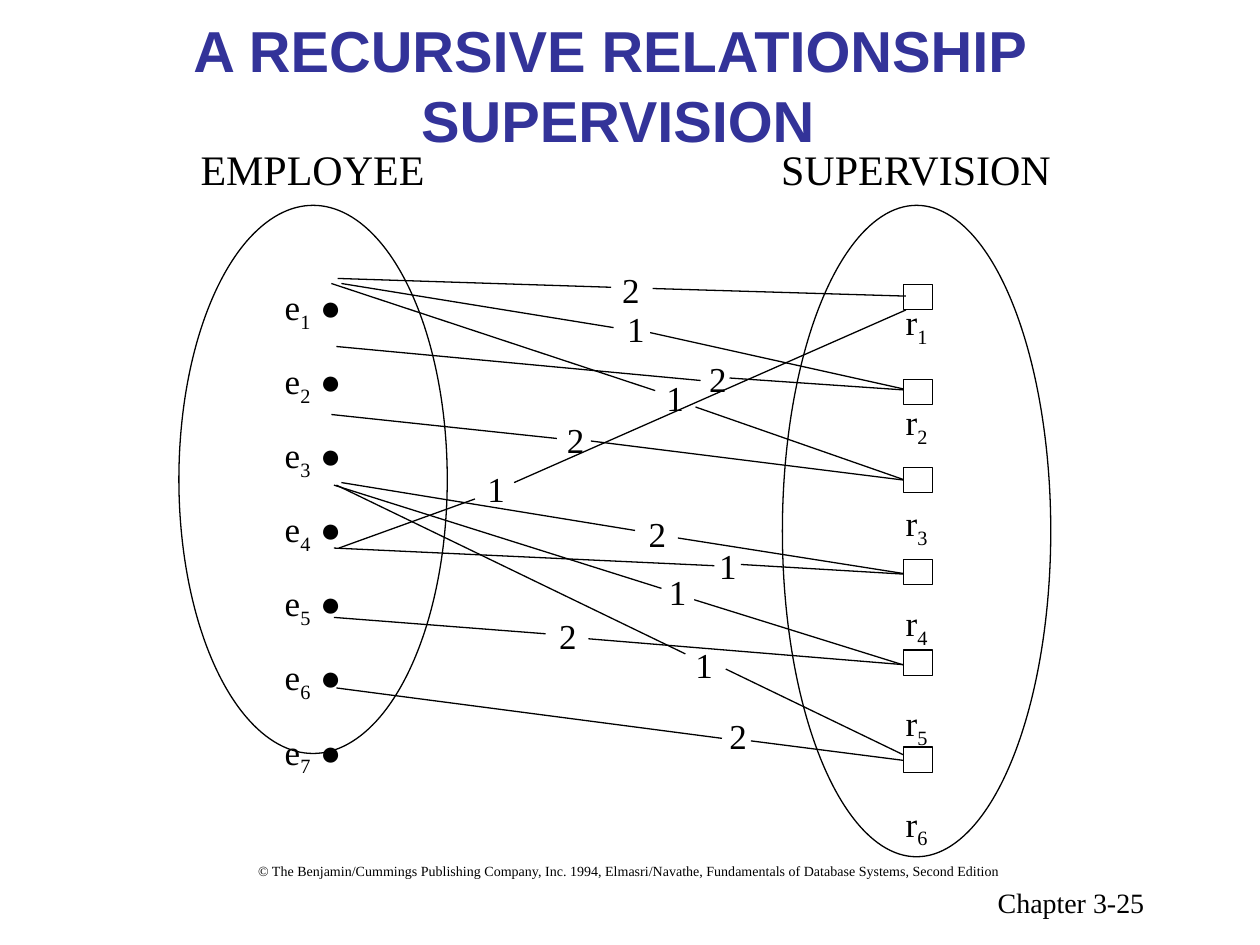
from pptx import Presentation
from pptx.dml.color import RGBColor
from pptx.enum.shapes import MSO_CONNECTOR, MSO_SHAPE
from pptx.enum.text import MSO_ANCHOR, PP_ALIGN
from pptx.oxml.ns import qn
from pptx.util import Inches, Pt
from lxml import etree

BLACK = RGBColor(0x00, 0x00, 0x00)
WHITE = RGBColor(0xFF, 0xFF, 0xFF)
NAVY = RGBColor(0x33, 0x33, 0x99)
SERIF = "Times New Roman"
SANS = "Arial"
STRAIGHT = MSO_CONNECTOR.STRAIGHT
ELLIPSE, RECTANGLE = MSO_SHAPE.OVAL, MSO_SHAPE.RECTANGLE
LEFT, CENTER = PP_ALIGN.LEFT, PP_ALIGN.CENTER
TOP, MIDDLE = MSO_ANCHOR.TOP, MSO_ANCHOR.MIDDLE

deck = Presentation()
deck.slide_width, deck.slide_height = Inches(10), Inches(7.5)
page = deck.slides.add_slide(deck.slide_layouts[6])


def add_text(text, left, top, width, height, size=20, font=SERIF, color=BLACK,
             bold=False, align=LEFT, anchor=TOP, wrap=False, inset_top=0.05):
    box = page.shapes.add_textbox(Inches(left), Inches(top), Inches(width), Inches(height))
    frame = box.text_frame
    frame.word_wrap = wrap
    frame.vertical_anchor = anchor
    frame.margin_top = Inches(inset_top)
    para = frame.paragraphs[0]
    para.text = text
    para.alignment = align
    for span in para.runs:
        span.font.name = font
        span.font.size = Pt(size)
        span.font.bold = bold
        span.font.color.rgb = color


def add_lines(segments):
    for x1, y1, x2, y2 in segments:
        line = page.shapes.add_connector(
            STRAIGHT, Inches(x1), Inches(y1), Inches(x2), Inches(y2))
        line.line.color.rgb = BLACK
        line.line.width = Pt(0.75)
        etree.SubElement(line._element.spPr, qn("a:effectLst"))


label_to_relation = [
    (5.16, 2.64, 7.23, 3.1), (5.52, 3.23, 7.21, 3.82), (5.79, 3, 7.25, 3.1),
    (4.69, 3.5, 7.17, 3.81), (5.38, 4.27, 7.35, 4.58), (5.51, 4.76, 7.21, 5.29),
    (5.76, 5.31, 7.23, 6.02), (5.88, 4.48, 7.23, 4.56), (4.67, 5.07, 7.23, 5.28),
    (5.96, 5.88, 7.21, 6.04), (4.08, 3.83, 7.19, 2.46),
]
add_lines(label_to_relation)

add_text("A RECURSIVE RELATIONSHIP \vSUPERVISION", 0.08, 0.12, 9.65, 1.15, size=33,
         font=SANS, color=NAVY, bold=True, align=CENTER, anchor=MIDDLE, wrap=True,
         inset_top=0)
add_text("EMPLOYEE", 1.49, 1.09, 1.98, 0.5, size=24, align=CENTER)
add_text("SUPERVISION", 6.09, 1.09, 2.36, 0.5, size=24, align=CENTER)

entity_sets = [
    ("e", 7, " ●", 1.42, 4.35, 7.5, 2),
    ("r", 6, "", 6.21, 5.17, 15, 3.5),
]
for letter, count, marker, left, height, gap, inset_bottom in entity_sets:
    oval = page.shapes.add_shape(
        ELLIPSE, Inches(left), Inches(1.63), Inches(2.13), Inches(height))
    oval.shadow.inherit = False
    oval.fill.background()
    oval.line.color.rgb = BLACK
    oval.line.width = Pt(0.75)
    frame = oval.text_frame
    frame.word_wrap = False
    frame.vertical_anchor = TOP
    frame.margin_top = 0
    frame.margin_bottom = Inches(inset_bottom)
    for number in range(1, count + 1):
        para = frame.paragraphs[0] if number == 1 else frame.add_paragraph()
        para.alignment = CENTER
        para.space_before = Pt(gap if number > 1 else 0)
        para.space_after = Pt(gap)
        for text, font, baseline in ((letter, SERIF, None), (str(number), SERIF, "-25000"),
                                     (marker, SANS, None)):
            if not text:
                continue
            span = para.add_run()
            span.text = text
            span.font.name = font
            span.font.size = Pt(20)
            span.font.color.rgb = BLACK
            if baseline:
                span.font._element.set("baseline", baseline)

for top in (2.26, 3.01, 3.71, 4.44, 5.16, 5.93):
    square = page.shapes.add_shape(
        RECTANGLE, Inches(7.17), Inches(top), Inches(0.23), Inches(0.2))
    square.shadow.inherit = False
    square.fill.solid()
    square.fill.fore_color.rgb = WHITE
    square.line.color.rgb = BLACK
    square.line.width = Pt(0.75)

employee_to_label = [
    (2.67, 2.75, 5.56, 3.02), (2.71, 2.25, 4.87, 2.6), (2.63, 2.25, 5.2, 3.1),
    (2.68, 2.21, 4.85, 2.28), (2.63, 3.29, 4.42, 3.48), (2.71, 3.83, 5.04, 4.21),
    (2.65, 3.85, 5.25, 4.67), (2.67, 3.85, 5.44, 5.19), (2.69, 4.35, 3.77, 3.96),
    (2.65, 4.35, 5.67, 4.49), (2.65, 4.9, 4.33, 5.03), (2.67, 5.46, 5.73, 5.86),
]
first_relation_line = (5.18, 2.29, 7.19, 2.35)
add_lines(employee_to_label + [first_relation_line])

role_labels = {
    "1": [(4.88, 2.39), (5.19, 2.94), (5.21, 4.48), (5.42, 5.06), (3.77, 3.66), (5.61, 4.27)],
    "2": [(4.84, 2.08), (5.53, 2.79), (5.05, 4.02), (4.4, 3.27), (4.34, 4.83), (5.69, 5.62)],
}
for role, places in role_labels.items():
    for left, top in places:
        add_text(role, left, top, 0.34, 0.44)

add_text("© The Benjamin/Cummings Publishing Company, Inc. 1994, Elmasri/Navathe, "
         "Fundamentals of Database Systems, Second Edition", 1.95, 6.8, 6.1, 0.24, size=8)
add_text("Chapter 3-25", 7.82, 6.98, 2.08, 0.42, size=16, wrap=True)

deck.save("out.pptx")
